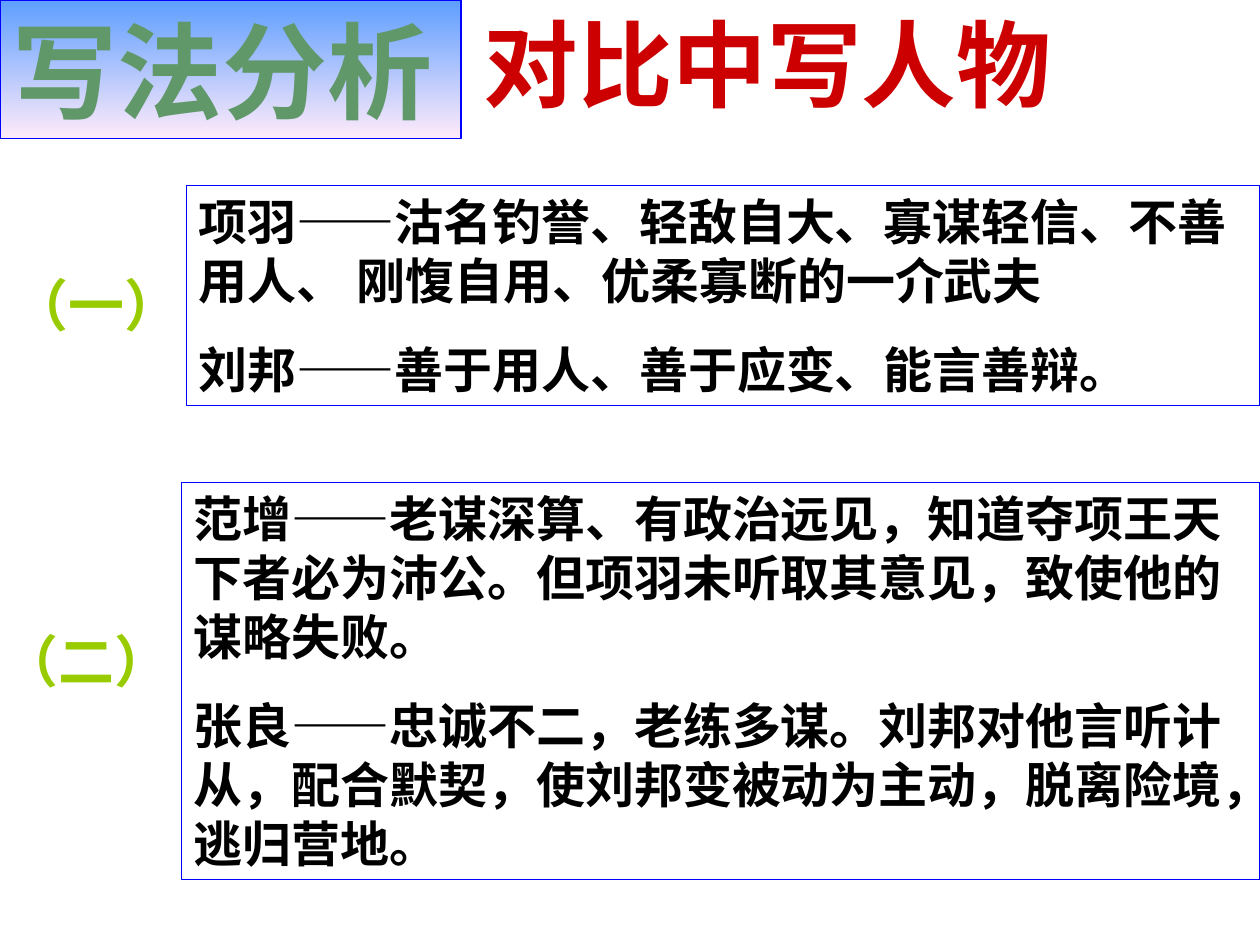
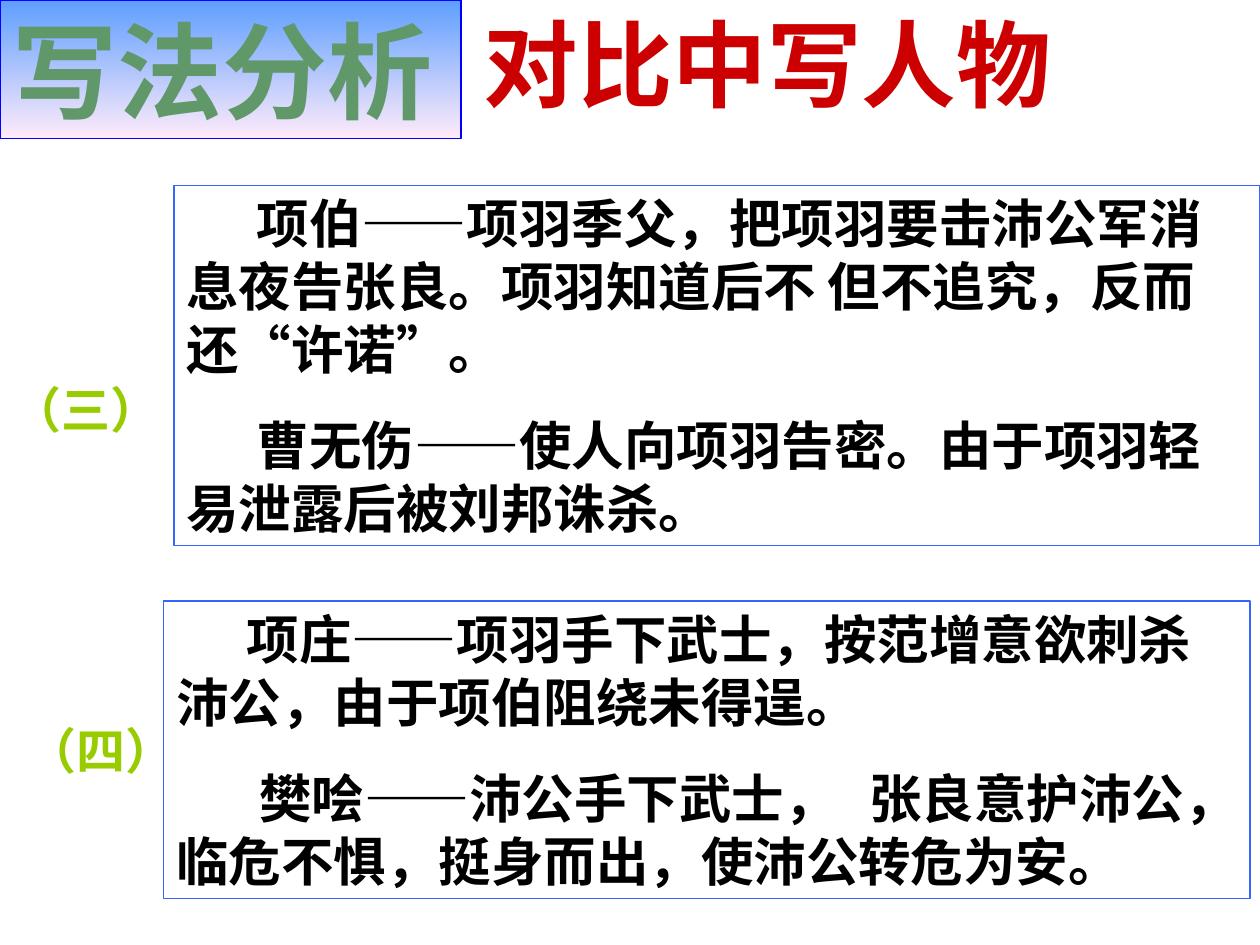
from typing import NamedTuple

from lxml.etree import SubElement
from pptx import Presentation
from pptx.dml.color import RGBColor
from pptx.enum.shapes import MSO_SHAPE
from pptx.enum.text import MSO_ANCHOR, MSO_AUTO_SIZE, PP_ALIGN
from pptx.oxml.ns import qn
from pptx.util import Inches, Pt

HUES = {
    "top": "5E9EFF",
    "base": "FFEBFA",
    "green": "609869",
    "red": "CC0000",
    "lime": "99CC00",
    "black": "000000",
    "blue": "0000FF",
    "sky": "3366FF",
}
FRAME = {
    "word_wrap": True,
    "auto_size": MSO_AUTO_SIZE.SHAPE_TO_FIT_TEXT,
    "vertical_anchor": MSO_ANCHOR.TOP,
    "margin_left": Inches(0.1),
    "margin_right": Inches(0.1),
    "margin_top": Inches(0.05),
    "margin_bottom": Inches(0.05),
}
FONT = {"name": "Times New Roman", "bold": True}


class Para(NamedTuple):
    text: str
    indent: float = 0
    tab: float = 0


class Box(NamedTuple):
    at: tuple[float, float, float, float]
    paras: list[Para]
    size: int
    hue: str = "black"
    edge: str = ""
    shade: bool = False


def color(name: str) -> RGBColor:
    return RGBColor.from_string(HUES[name])


def apply(target: object, values: dict) -> None:
    for key, value in values.items():
        setattr(target, key, value)


def outline(shape, box: Box) -> None:
    shape.shadow.inherit = False
    shape.line.color.rgb = color(box.edge)
    shape.line.width = Pt(0.75)
    if not box.shade:
        shape.fill.background()
        return
    shape.fill.gradient()
    shape.fill.gradient_angle = 270
    for stop, place, hue in zip(shape.fill.gradient_stops, (0, 1), ("top", "base")):
        stop.position = place
        stop.color.rgb = color(hue)


def draw(slide, box: Box) -> None:
    place = [Inches(n) for n in box.at]
    if box.edge:
        shape = slide.shapes.add_shape(MSO_SHAPE.RECTANGLE, *place)
        outline(shape, box)
    else:
        shape = slide.shapes.add_textbox(*place)
    frame = shape.text_frame
    apply(frame, FRAME)
    for i, item in enumerate(box.paras):
        para = frame.add_paragraph() if i else frame.paragraphs[0]
        para.text = item.text
        para.alignment = PP_ALIGN.LEFT
        if i:
            para.space_before = Pt(box.size * 0.625)
        props = para._p.get_or_add_pPr()
        if item.indent:
            props.set("indent", str(Inches(item.indent)))
        if item.tab:
            tabs = SubElement(props, qn("a:tabLst"))
            SubElement(tabs, qn("a:tab"), pos=str(Inches(item.tab)), algn="l")
        for run in para.runs:
            apply(run.font, FONT | {"size": Pt(box.size)})
            run.font.color.rgb = color(box.hue)


HEAD = [
    Box((0, 0, 3.66, 1.1), [Para("写法分析")], 60, "green", "blue", True),
    Box((3.74, 0, 4.92, 1), [Para("对比中写人物")], 54, "red"),
]
PAGES = [
    [
        Box((1.48, 1.47, 8.52, 1.75), [
            Para("项羽——沽名钓誉、轻敌自大、寡谋轻信、不善用人、 刚愎自用、优柔寡断的一介武夫"),
            Para("刘邦——善于用人、善于应变、能言善辩。"),
        ], 28, edge="blue"),
        Box((0, 2.1, 2, 0.64), [Para("（一）")], 32, "lime"),
        Box((-0.08, 4.92, 1.83, 0.64), [Para("（二）")], 32, "lime"),
        Box((1.44, 3.83, 8.56, 3.15), [
            Para("范增——老谋深算、有政治远见，知道夺项王天下者必为沛公。但项羽未听取其意见，致使他的谋略失败。"),
            Para("张良——忠诚不二，老练多谋。刘邦对他言听计从，配合默契，使刘邦变被动为主动，脱离险境，逃归营地。"),
        ], 28, edge="blue"),
    ],
    [
        Box((0, 2.96, 1.42, 0.57), [Para("（三）")], 28, "lime"),
        Box((1.38, 1.47, 8.62, 2.86), [
            Para("项伯——项羽季父，把项羽要击沛公军消息夜告张良。项羽知道后不 但不追究，反而还“许诺”。", 0.56),
            Para("曹无伤——使人向项羽告密。由于项羽轻易泄露后被刘邦诛杀。", 0.56),
        ], 30, edge="sky"),
        Box((1.3, 4.77, 8.62, 2.36), [
            Para("项庄——项羽手下武士，按范增意欲刺杀沛公，由于项伯阻绕未得逞。", 0.56),
            Para("樊哙——沛公手下武士，\t张良意护沛公，临危不惧，挺身而出，使沛公转危为安。", 0.66, 5.53),
        ], 30, edge="sky"),
        Box((0.12, 5.67, 1.42, 0.57), [Para("（四）")], 28, "lime"),
    ],
]


def main() -> None:
    deck = Presentation()
    deck.slide_width = Inches(10)
    deck.slide_height = Inches(7.5)
    for page in PAGES:
        slide = deck.slides.add_slide(deck.slide_layouts[6])
        for box in HEAD + page:
            draw(slide, box)
    deck.save("out.pptx")


if __name__ == "__main__":
    main()
